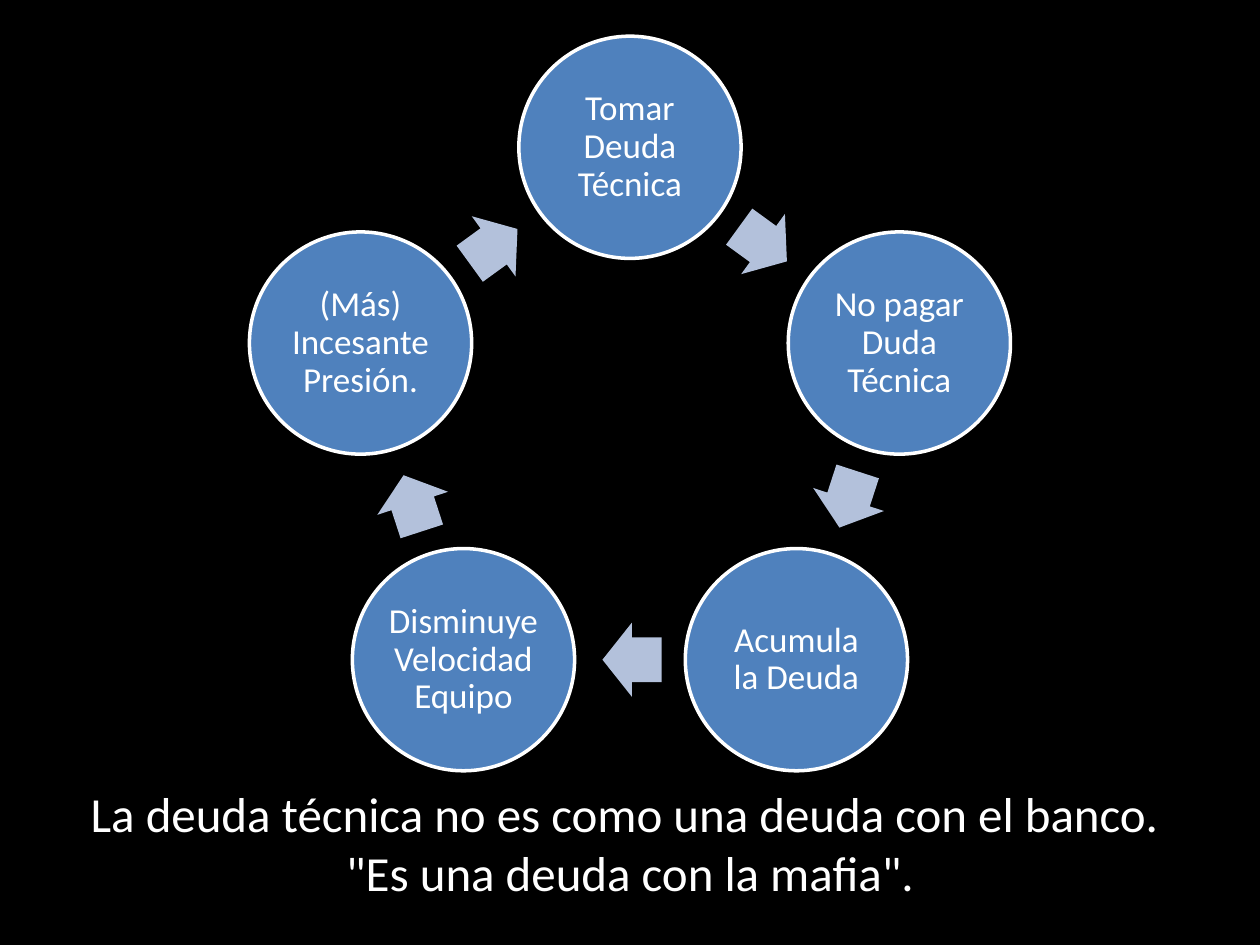
import math
from dataclasses import dataclass

import pptx
import pptx.dml.color
import pptx.enum.shapes
import pptx.enum.text
import pptx.util

Cm = pptx.util.Cm
Pt = pptx.util.Pt
Color = pptx.dml.color.RGBColor
Preset = pptx.enum.shapes.MSO_SHAPE


@dataclass(frozen=True)
class Theme:
    """Colours and type of the slide."""
    background: Color = Color(0x00, 0x00, 0x00)
    circle: Color = Color(0x4F, 0x81, 0xBD)
    arrow: Color = Color(0xB3, 0xC1, 0xDB)
    light: Color = Color(0xFF, 0xFF, 0xFF)
    font: str = "Calibri"
    step_size: int = 20
    title_size: int = 28
    outline: float = 2


@dataclass(frozen=True)
class Step:
    """One stage of the cycle; angle is clockwise from the top, in degrees."""
    text: str
    angle: float


@dataclass(frozen=True)
class Ring:
    """Geometry of the cycle, in centimetres."""
    x: float = 12.7
    y: float = 8.68
    radius: float = 5.71
    circle: float = 4.48
    arrow_length: float = 1.19
    arrow_width: float = 1.5
    arrow_setback: float = 0.04


THEME = Theme()
RING = Ring()
LABELS = (
    "Tomar Deuda Técnica",
    "No pagar Duda Técnica",
    "Acumula la Deuda",
    "Disminuye Velocidad Equipo",
    "(Más)\vIncesante Presión.",
)
TITLE = ('La deuda técnica no es como una deuda con el banco. \v'
         '"Es una deuda con la mafia".')
TURN = 360 / len(LABELS)
STEPS = [Step(label, index * TURN) for index, label in enumerate(LABELS)]


def apply(target: object, values: dict) -> None:
    """Set every attribute named in values on the target."""
    for name, value in values.items():
        setattr(target, name, value)


def write(shape, text: str, size: float, spacing: float, inset_x: float, inset_y: float) -> None:
    """Put centred light text into a shape."""
    frame = shape.text_frame
    apply(frame, {
        "word_wrap": True,
        "vertical_anchor": pptx.enum.text.MSO_ANCHOR.MIDDLE,
        "margin_left": Cm(inset_x), "margin_right": Cm(inset_x),
        "margin_top": Cm(inset_y), "margin_bottom": Cm(inset_y),
    })
    para = frame.paragraphs[0]
    apply(para, {"text": text, "line_spacing": spacing,
                 "alignment": pptx.enum.text.PP_ALIGN.CENTER})
    for span in para.runs:
        apply(span.font, {"name": THEME.font, "size": Pt(size)})
        span.font.color.rgb = THEME.light


def add_centred(page, preset, x: float, y: float, width: float, height: float, color: Color):
    """Add a filled shape around a centre point."""
    shape = page.shapes.add_shape(preset, Cm(x - width / 2), Cm(y - height / 2),
                                  Cm(width), Cm(height))
    shape.shadow.inherit = False
    shape.fill.solid()
    shape.fill.fore_color.rgb = color
    return shape


def add_step(page, step: Step) -> None:
    """Draw the labelled circle of a step."""
    angle = math.radians(step.angle)
    circle = add_centred(page, Preset.OVAL,
                         RING.x + RING.radius * math.sin(angle),
                         RING.y - RING.radius * math.cos(angle),
                         RING.circle, RING.circle, THEME.circle)
    circle.line.color.rgb = THEME.light
    circle.line.width = Pt(THEME.outline)
    write(circle, step.text, THEME.step_size, 0.9, 0.08, 0.08)


def add_arrow(page, step: Step) -> None:
    """Draw the arrow from a step to the next one."""
    heading = step.angle + TURN / 2
    angle = math.radians(heading)
    reach = RING.radius * math.cos(math.radians(TURN / 2))
    x = RING.x + reach * math.sin(angle) - RING.arrow_setback * math.cos(angle)
    y = RING.y - reach * math.cos(angle) - RING.arrow_setback * math.sin(angle)
    arrow = add_centred(page, Preset.RIGHT_ARROW, x, y,
                        RING.arrow_length, RING.arrow_width, THEME.arrow)
    arrow.adjustments[0] = 0.6
    arrow.adjustments[1] = 0.5
    arrow.rotation = heading
    arrow.line.fill.background()


def build() -> None:
    """Build and save the deck."""
    deck = pptx.Presentation()
    apply(deck, {"slide_width": Cm(25.4), "slide_height": Cm(19.05)})
    page = deck.slides.add_slide(deck.slide_layouts[6])
    page.background.fill.solid()
    page.background.fill.fore_color.rgb = THEME.background
    for step in STEPS:
        add_step(page, step)
        add_arrow(page, step)
    box = page.shapes.add_textbox(Cm(1.27), Cm(15.85), Cm(22.86), Cm(2.26))
    write(box, TITLE, THEME.title_size, 1.0, 0.25, 0.13)
    deck.save("out.pptx")


build()
